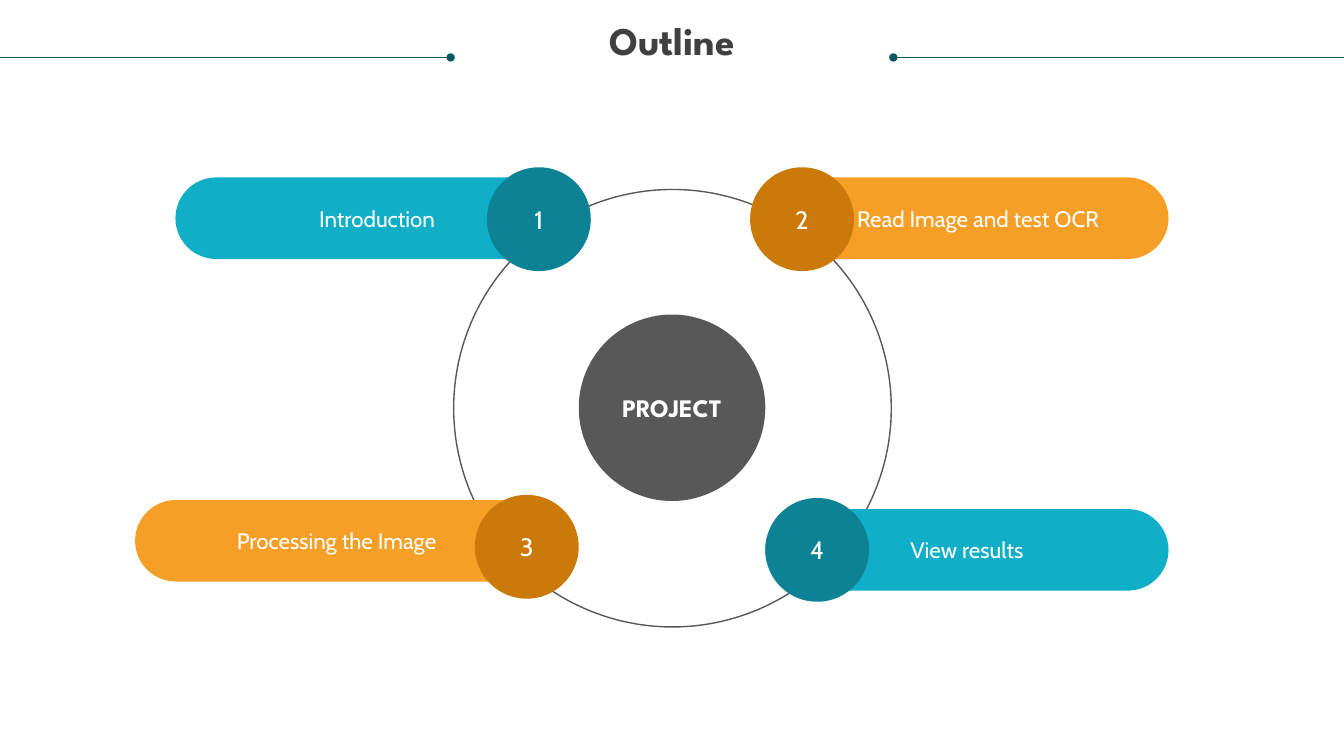
from lxml import etree
from pptx import Presentation
from pptx.dml.color import RGBColor
from pptx.enum import shapes, text
from pptx.oxml.ns import qn
from pptx.util import Inches, Pt

TEAL, ORANGE, GREY, WHITE = "11AEC7", "F59F26", "585858", "FFFFFF"
DARK = {TEAL: "0D8295", ORANGE: "CB7A09"}
ROUND = shapes.MSO_SHAPE.ROUNDED_RECTANGLE
OVAL = shapes.MSO_SHAPE.OVAL


def color(code):
    return RGBColor.from_string(code)


def write(frame, words, size=16, font="Cabin", ink=WHITE, bold=False,
          anchor=text.MSO_ANCHOR.MIDDLE, space=None):
    frame.word_wrap = True
    frame.vertical_anchor = anchor
    para = frame.paragraphs[0]
    para.alignment = text.PP_ALIGN.CENTER
    if space:
        para.line_spacing = space
    run = para.add_run()
    run.text = words
    run.font.size = Pt(size)
    run.font.name = font
    run.font.bold = bold
    run.font.color.rgb = color(ink)


def shape(slide, kind, box, fill=None, line=None):
    item = slide.shapes.add_shape(kind, *map(Inches, box))
    item.shadow.inherit = False
    if fill:
        item.fill.solid()
        item.fill.fore_color.rgb = color(fill)
    else:
        item.fill.background()
    if line:
        item.line.color.rgb = color(line)
        item.line.width = Pt(1)
    else:
        item.line.fill.background()
    return item


def rule(slide, edge, dot):
    y = Inches(0.57)
    item = slide.shapes.add_connector(
        shapes.MSO_CONNECTOR.STRAIGHT, Inches(edge), y, Inches(dot), y)
    item.line.color.rgb = color("085764")
    item.line.width = Pt(0.5)
    etree.SubElement(item.line._get_or_add_ln(), qn("a:tailEnd"), type="oval")
    etree.SubElement(item._element.spPr, qn("a:effectLst"))


def title(slide, words):
    box = slide.shapes.add_textbox(*map(Inches, (0.25, 0.21, 12.83, 0.85)))
    frame = box.text_frame
    frame.margin_left = frame.margin_right = 0
    frame.margin_top = frame.margin_bottom = 0
    write(frame, words, size=28, font="League Spartan", ink="404040",
          bold=True, anchor=text.MSO_ANCHOR.TOP, space=0.9)


def step(slide, num, words, fill, pill, disc, inset=0.1):
    bar = shape(slide, ROUND, (*pill, 4, 0.81), fill)
    bar.adjustments[0] = 0.5
    bar.text_frame.margin_left = Inches(inset)
    write(bar.text_frame, words)
    badge = shape(slide, OVAL, (*disc, 1.03, 1.03), DARK[fill])
    write(badge.text_frame, num, size=18)


def main():
    deck = Presentation()
    deck.slide_width, deck.slide_height = Inches(13.33), Inches(7.5)
    slide = deck.slides.add_slide(deck.slide_layouts[6])

    shape(slide, OVAL, (4.5, 1.88, 4.34, 4.34), line=GREY)
    rule(slide, 13.33, 8.86)
    title(slide, "Outline")
    rule(slide, 0, 4.47)
    hub = shape(slide, OVAL, (5.74, 3.12, 1.85, 1.85), GREY)
    write(hub.text_frame, "PROJECT", size=18, font="League Spartan", bold=True)

    step(slide, "2", "Read Image and test OCR", ORANGE,
         (7.59, 1.76), (7.44, 1.66), inset=0.32)
    step(slide, "4", "View results", TEAL, (7.59, 5.05), (7.59, 4.94))
    step(slide, "1", "Introduction", TEAL, (1.74, 1.76), (4.83, 1.66))
    step(slide, "3", "Processing the Image", ORANGE,
         (1.34, 4.96), (4.71, 4.91))
    deck.save("out.pptx")


if __name__ == "__main__":
    main()
